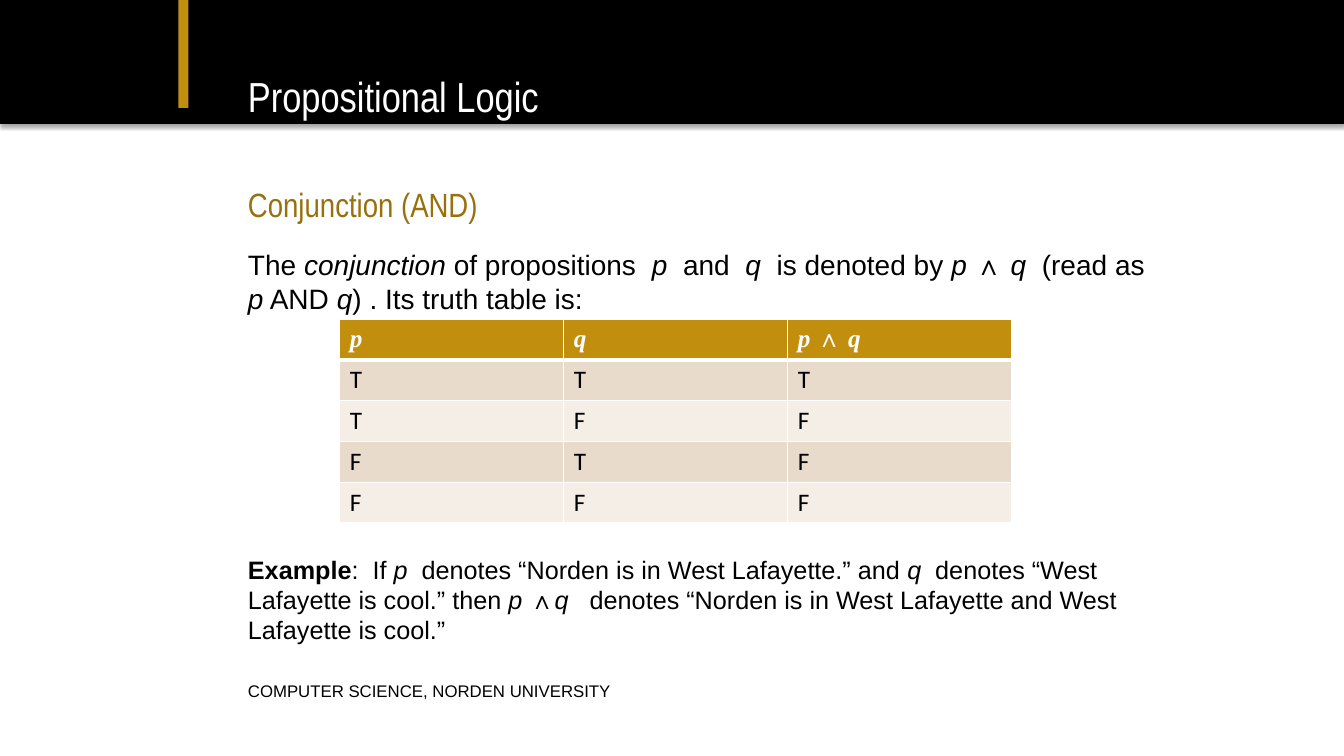
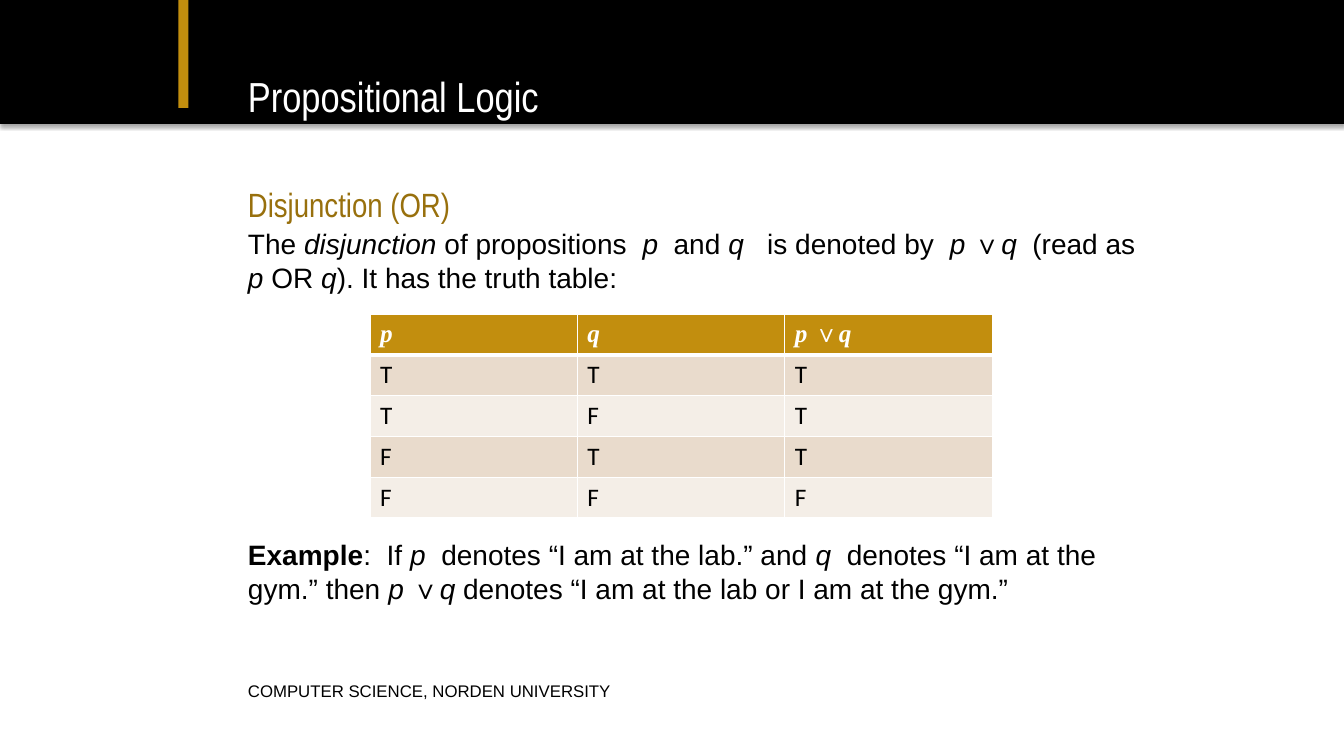
from lxml import etree
from pptx import Presentation
from pptx import util as u
from pptx.dml.color import RGBColor
from pptx.enum import shapes, text
from pptx.oxml import parse_xml
from pptx.oxml.ns import nsdecls, qn

COLOURS = {
    "black": "000000", "white": "FFFFFF", "gold": "C28E0E",
    "dark gold": "98700D", "tan": "E9DBCC", "cream": "F4EEE7",
}
LEFT, WIDE = 18.45, 67.5


class LogicDeck:
    """Builds lecture pages, with lengths given as percentages of the slide."""

    def __init__(self):
        self.deck = Presentation()
        self.deck.slide_width = u.Inches(13.333)
        self.deck.slide_height = u.Inches(7.5)
        self.page = None

    def place(self, left, top, width, height):
        """Turn percentages of the slide into lengths."""
        across, down = self.deck.slide_width, self.deck.slide_height
        return [int(share * side / 100) for share, side in
                zip((left, top, width, height), (across, down, across, down))]

    def colour(self, name):
        """Look up a named colour."""
        return RGBColor.from_string(COLOURS[name])

    def start_page(self, title, subtitle):
        """Add a page with its band, accent bar, headings and footer."""
        self.page = self.deck.slides.add_slide(self.deck.slide_layouts[6])
        self.add_bar((0, -0.13, 100, 16.53), "black")
        self.add_bar((13.28, 0, 0.75, 14.27), "gold")
        middle = text.MSO_ANCHOR.MIDDLE
        self.add_text((LEFT, 8.8, WIDE, 7.73), title, 30, "white", "Arial Narrow", middle)
        self.add_text((LEFT, 23.87, WIDE, 6.13), subtitle, 24, "dark gold", "Arial Narrow", middle)
        self.add_text((LEFT, 89.73, 50.25, 3.2), "COMPUTER SCIENCE, NORDEN UNIVERSITY",
                      12, anchor=middle)

    def add_bar(self, area, fill):
        """Add a plain rectangle with a soft shadow below."""
        bar = self.page.shapes.add_shape(shapes.MSO_SHAPE.RECTANGLE, *self.place(*area))
        bar.fill.solid()
        bar.fill.fore_color.rgb = self.colour(fill)
        bar.line.fill.background()
        bar.shadow.inherit = False
        effects = bar._element.spPr.find(qn("a:effectLst"))
        effects.append(parse_xml(
            f'<a:outerShdw {nsdecls("a")} blurRad="{u.Pt(3.1)}" dist="{u.Pt(1.8)}" '
            f'dir="5400000" rotWithShape="0"><a:srgbClr val="{COLOURS["black"]}">'
            '<a:alpha val="35000"/></a:srgbClr></a:outerShdw>'))

    def add_spans(self, para, words, size, colour, font, bold=False):
        """Put words, with *bold* and _italic_ marks, into a paragraph."""
        for strong, part in enumerate(words.split("*")):
            for slanted, piece in enumerate(part.split("_")):
                if not piece:
                    continue
                span = para.add_run()
                span.text = piece
                span.font.size, span.font.name = u.Pt(size), font
                span.font.color.rgb = self.colour(colour)
                span.font.bold = bold or strong % 2 == 1
                span.font.italic = slanted % 2 == 1

    def add_text(self, area, words, size=20, colour="black", font="Arial",
                 anchor=text.MSO_ANCHOR.TOP):
        """Add a wrapping text box without margins."""
        frame = self.page.shapes.add_textbox(*self.place(*area)).text_frame
        frame.word_wrap = True
        frame.vertical_anchor = anchor
        frame.margin_left = frame.margin_right = frame.margin_top = frame.margin_bottom = 0
        self.add_spans(frame.paragraphs[0], words, size, colour, font)

    def add_borders(self, cell, bottom):
        """Draw white lines around a cell."""
        props = cell._tc.get_or_add_tcPr()
        for index, (side, width) in enumerate(
                (("lnL", 1), ("lnR", 1), ("lnT", 1), ("lnB", bottom))):
            line = etree.Element(qn(f"a:{side}"), w=str(u.Pt(width)))
            fill = etree.SubElement(line, qn("a:solidFill"))
            etree.SubElement(fill, qn("a:srgbClr"), val=COLOURS["white"])
            props.insert(index, line)

    def add_truth_table(self, left, top, width, header, rows):
        """Add a truth table with a gold header and banded rows."""
        lines = [header, *rows]
        area = self.place(left, top, width, 26.67)
        table = self.page.shapes.add_table(len(lines), len(header), *area).table
        for index, values in enumerate(lines):
            head = index == 0
            share = 5.07 if head else 5.4
            table.rows[index].height = int(self.deck.slide_height * share / 100)
            fill = "gold" if head else ("cream", "tan")[index % 2]
            ink, font = ("white", "Times New Roman") if head else ("black", "Calibri")
            for column, value in enumerate(values):
                cell = table.cell(index, column)
                cell.fill.solid()
                cell.fill.fore_color.rgb = self.colour(fill)
                self.add_spans(cell.text_frame.paragraphs[0], value, 18, ink, font, head)
                self.add_borders(cell, 3 if head else 1)


def main():
    """Build the two pages and save them."""
    logic = LogicDeck()

    logic.start_page("Propositional Logic", "Conjunction (AND)")
    logic.add_text((LEFT, 32.8, WIDE, 9),
                   "The _conjunction_ of propositions  _p_  and  _q_  is denoted by _p _∧ _q  _"
                   "(read as _p_ AND _q_) . Its truth table is:")
    logic.add_truth_table(25.28, 42.27, 50, ("_p_", "_q_", "_p _∧ _q_"),
                          ("TTT", "TFF", "FTF", "FFF"))
    logic.add_text((LEFT, 73.3, WIDE, 12),
                   "*Example*:  If _p_  denotes “Norden is in West Lafayette.” and _q_  denotes "
                   "“West Lafayette is cool.” then _p _∧_q_   denotes “Norden is in West "
                   "Lafayette and West Lafayette is cool.”", 18)

    logic.start_page("Propositional Logic", "Disjunction (OR)")
    logic.add_text((LEFT, 30, WIDE, 9),
                   "The _disjunction_ of propositions  _p_  and _q_   is denoted by  _p _∨_q_  "
                   "(read as _p_ OR _q_). It has the truth table:")
    logic.add_truth_table(27.53, 41.6, 46.3, ("_p_", "_q_", "_p _∨_q_"),
                          ("TTT", "TFT", "FTT", "FFF"))
    logic.add_text((LEFT, 71.1, WIDE, 9),
                   "*Example*:  If _p_  denotes “I am at the lab.” and _q_  denotes “I am at the "
                   "gym.” then _p _∨_q_ denotes “I am at the lab or I am at the gym.”")

    logic.deck.save("out.pptx")


if __name__ == "__main__":
    main()
